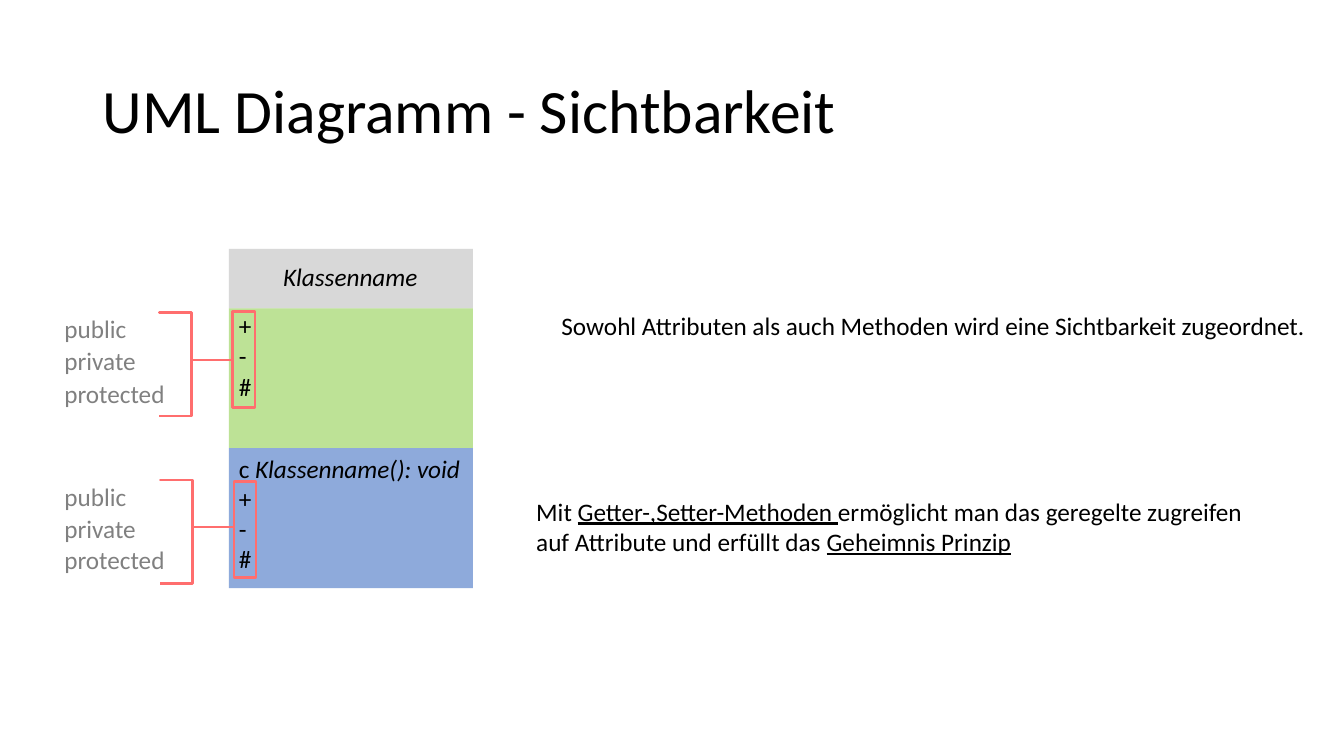
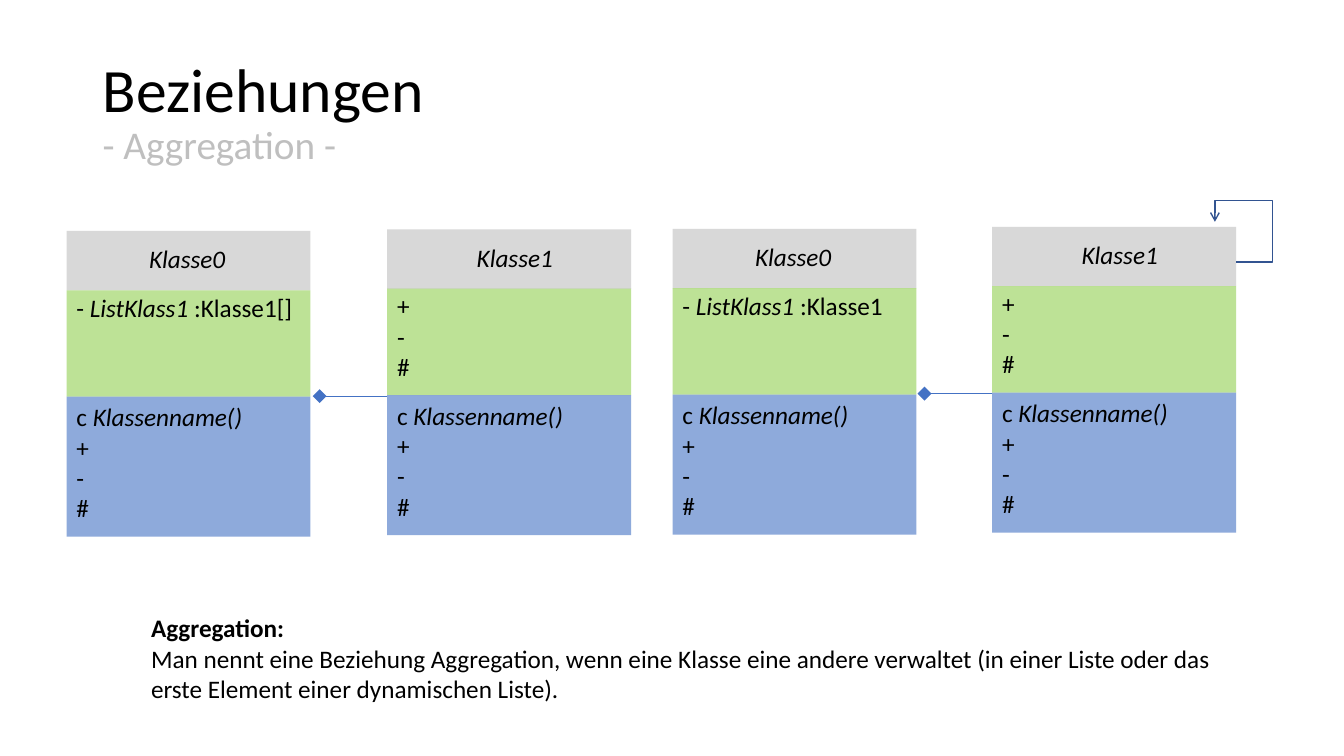
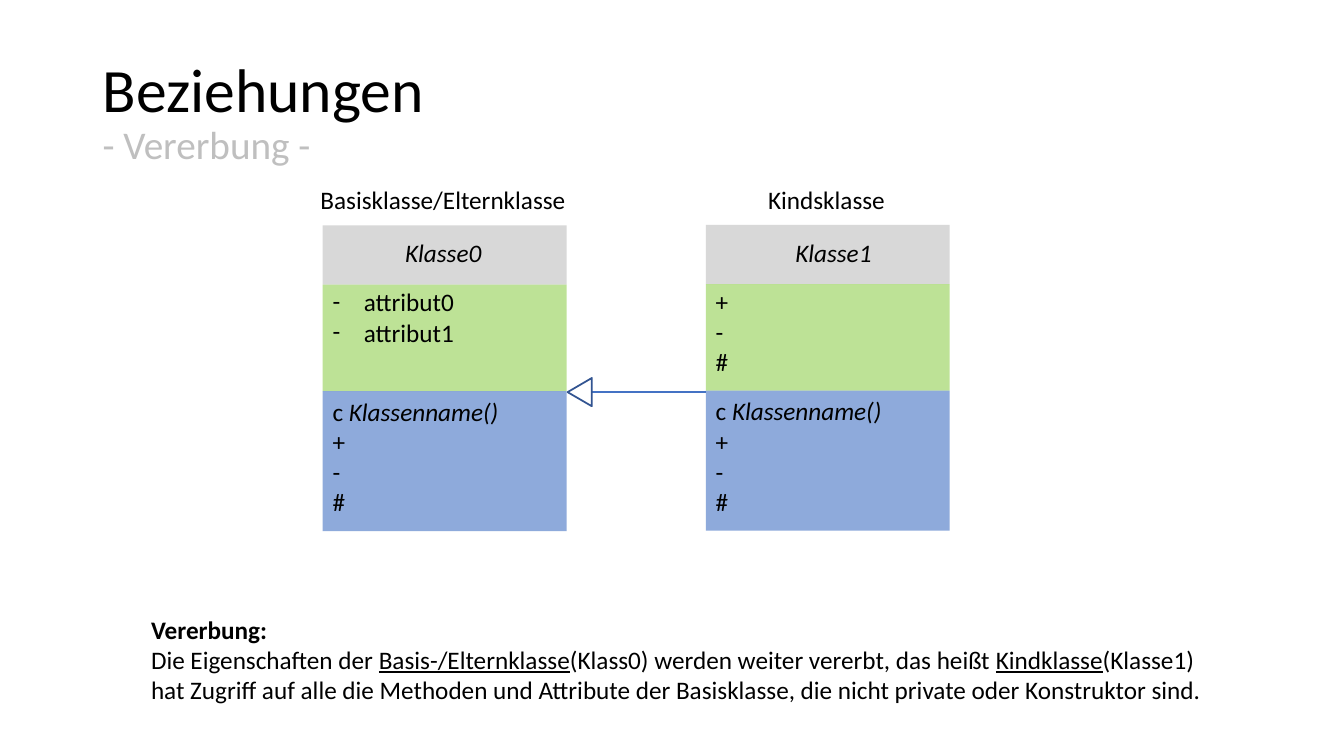
from dataclasses import dataclass

from lxml.etree import SubElement
from pptx import Presentation
from pptx.dml.color import RGBColor
from pptx.enum.shapes import MSO_CONNECTOR, MSO_SHAPE
from pptx.enum.text import MSO_ANCHOR, MSO_AUTO_SIZE
from pptx.oxml.ns import qn
from pptx.util import Inches, Pt

# Slide grid: square cells, 75 rows on the slide's height
WIDTH, HEIGHT = Inches(13.33), Inches(7.5)
CELL = HEIGHT / 75


@dataclass(frozen=True)
class Theme:
    font: str = "Calibri"
    ink: str = "000000"
    muted: str = "808080"
    subtitle: str = "BFBFBF"
    head: str = "BFBFBF"
    attributes: str = "92D050"
    methods: str = "4472C4"
    relation: str = "4472C4"
    outline: str = "325491"
    mark: str = "FF6E6E"
    title_size: int = 44
    subtitle_size: int = 28
    body_size: int = 18
    opacity: int = 60


THEME = Theme()
STYLES = {
    "plain": {},
    "italic": {"italic": True},
    "bold": {"bold": True},
    "underline": {"underline": True},
}
SIGNS = ["+", "-", "#"]
LABEL_WIDTHS = {"public": 8.2, "private": 9.2, "protected": 12.1}
HEAD_ROWS, METHOD_ROWS, CLASS_COLUMNS = 5.9, 13.9, 24.2
LINE_ROWS, TEXT_MARGIN = 3.05, 1


def cells(*counts):
    return [round(count * CELL) for count in counts]


def set_attributes(target, values):
    for name, value in values.items():
        setattr(target, name, value)


# Text
def add_run(paragraph, text, style="plain", color=THEME.ink, size=THEME.body_size):
    run = paragraph.add_run()
    run.text = text
    set_attributes(run.font, {"name": THEME.font, "size": Pt(size), **STYLES[style]})
    run.font.color.rgb = RGBColor.from_string(color)


def add_text(slide, left, top, width, paragraphs, wrap=False, rows=None, color=THEME.ink):
    """A paragraph is a plain string or a list of (text, style) runs."""
    rows = rows or LINE_ROWS * len(paragraphs) + TEXT_MARGIN
    frame = slide.shapes.add_textbox(*cells(left, top, width, rows)).text_frame
    set_attributes(frame, {"word_wrap": wrap, "auto_size": MSO_AUTO_SIZE.SHAPE_TO_FIT_TEXT})
    for index, runs in enumerate(paragraphs):
        paragraph = frame.add_paragraph() if index else frame.paragraphs[0]
        for text, style in [(runs, "plain")] if isinstance(runs, str) else runs:
            add_run(paragraph, text, style, color)
    return frame


def add_dashes(frame):
    for paragraph in frame.paragraphs:
        properties = paragraph._p.get_or_add_pPr()
        properties.set("marL", str(Inches(0.31)))
        properties.set("indent", str(-Inches(0.31)))
        SubElement(properties, qn("a:buFont")).set("typeface", THEME.font)
        SubElement(properties, qn("a:buChar")).set("char", "-")


def add_title(slide, title, subtitle=None):
    frame = slide.shapes.add_textbox(*cells(9.2, 4, 115, 14.5)).text_frame
    set_attributes(frame, {"word_wrap": True, "vertical_anchor": MSO_ANCHOR.MIDDLE})
    paragraph = frame.paragraphs[0]
    paragraph.line_spacing = 0.9
    add_run(paragraph, title, size=THEME.title_size)
    if subtitle:
        paragraph.add_line_break()
        add_run(paragraph, subtitle, color=THEME.subtitle, size=THEME.subtitle_size)


# Shapes and lines
def set_line(shape, color, width, end=None, end_size="med"):
    shape.line.color.rgb = RGBColor.from_string(color)
    shape.line.width = Pt(width)
    if end:
        tail = SubElement(shape.line._get_or_add_ln(), qn("a:tailEnd"))
        for name, value in {"type": end, "w": end_size, "len": end_size}.items():
            tail.set(name, value)


def add_band(slide, left, top, width, rows, color):
    band = slide.shapes.add_shape(MSO_SHAPE.RECTANGLE, *cells(left, top, width, rows))
    band.shadow.inherit = False
    band.line.fill.background()
    band.fill.solid()
    band.fill.fore_color.rgb = RGBColor.from_string(color)
    tint = band.fill._xPr.find(qn("a:solidFill"))[0]
    SubElement(tint, qn("a:alpha")).set("val", str(THEME.opacity * 1000))


def add_outline(slide, preset, left, top, width, rows, color, weight, rotation=0):
    outline = slide.shapes.add_shape(preset, *cells(left, top, width, rows))
    outline.shadow.inherit = False
    outline.fill.background()
    outline.rotation = rotation
    set_line(outline, color, weight)


def add_path(slide, points, color, weight, end=None):
    start, *others = [cells(*point) for point in points]
    builder = slide.shapes.build_freeform(*start)
    builder.add_line_segments(others, close=False)
    path = builder.convert_to_shape()
    path.shadow.inherit = False
    path.fill.background()
    set_line(path, color, weight, end)


def add_relation(slide, left, top, length, weight, end=None):
    relation = slide.shapes.add_connector(
        MSO_CONNECTOR.STRAIGHT, *cells(left, top, left - length, top))
    set_line(relation, THEME.relation, weight, end, "lg")
    SubElement(relation._element.spPr, qn("a:effectLst"))


# UML class: name, attributes and methods, stacked from the given corner
def add_class(slide, left, top, name, name_at, attributes=SIGNS, attributes_width=3.9,
              constructor="Klassenname()", methods_width=19.4, attribute_rows=10.55,
              dashes=False):
    bands = [(HEAD_ROWS, THEME.head), (attribute_rows, THEME.attributes),
             (METHOD_ROWS, THEME.methods)]
    band_top = top
    for rows, color in bands:
        add_band(slide, left, band_top, CLASS_COLUMNS, rows, color)
        band_top += rows
    methods_top = top + HEAD_ROWS + attribute_rows
    add_text(slide, left, methods_top, methods_width,
             [[("c ", "plain"), (constructor, "italic")], *SIGNS])
    name_offset, name_width = name_at
    add_text(slide, left + name_offset, top + 0.75, name_width, [[(name, "italic")]])
    listed = add_text(slide, left, top + HEAD_ROWS - 0.3, attributes_width, attributes)
    if dashes:
        add_dashes(listed)


PARENT_NAME_AT, CHILD_NAME_AT = (7.2, 9.7), (7.9, 9.7)


# Visibility key: labels, bracket and frame around the signs
def add_visibility(slide, left, top, label_top, label_pitch, bracket_top):
    for row, (label, width) in enumerate(LABEL_WIDTHS.items()):
        add_text(slide, 5.4, label_top + row * label_pitch, width, [label], color=THEME.muted)
    add_outline(slide, MSO_SHAPE.RECTANGLE, left, top, 2.2, 9.5, THEME.mark, 2)
    tip, spine = left - 7.3, left - 4.1
    middle, bottom = bracket_top + 4.7, bracket_top + 10.3
    add_path(slide, [(left, middle), (spine, middle), (spine, bracket_top), (tip, bracket_top),
                     (spine, bracket_top), (spine, bottom), (tip, bottom)], THEME.mark, 1.75)


# Managing class on the left, managed class on the right
def add_aggregation(slide, left, top, attribute_type, attribute_width, child_left, child_top):
    attribute = [("- ", "plain"), ("ListKlass1", "italic"), (attribute_type, "plain")]
    add_class(slide, left, top, "Klasse0", PARENT_NAME_AT, [attribute], attribute_width)
    add_class(slide, child_left, child_top, "Klasse1", CHILD_NAME_AT)
    add_relation(slide, child_left, child_top + 16.55, 6.7, 0.5, "diamond")


def build_visibility_slide(slide):
    add_title(slide, "UML Diagramm - Sichtbarkeit")
    add_class(slide, 22.7, 24.7, "Klassenname", (4.4, 15.5), constructor="Klassenname(): void",
              methods_width=24.2, attribute_rows=13.85)
    add_text(slide, 52.2, 48.7, 74.3, [[
        ("Mit ", "plain"), ("Getter-,Setter-Methoden ", "underline"),
        ("ermöglicht man das geregelte zugreifen auf Attribute und erfüllt das ", "plain"),
        ("Geheimnis Prinzip", "underline")]], wrap=True, rows=7.1)
    add_text(slide, 54.7, 30.3, 77.2,
             ["Sowohl Attributen als auch Methoden wird eine Sichtbarkeit zugeordnet."])
    add_visibility(slide, 23.1, 30.9, 30.6, 3.2, 31)
    add_visibility(slide, 23.2, 47.8, 47.3, 3.1, 47.6)


def build_aggregation_slide(slide):
    add_title(slide, "Beziehungen", "- Aggregation -")
    add_text(slide, 14, 60.3, 107.4, [
        [("Aggregation:", "bold")],
        "Man nennt eine Beziehung Aggregation, wenn eine Klasse eine andere verwaltet "
        "(in einer Liste oder das erste Element einer dynamischen Liste)."],
        wrap=True, rows=10.1)
    add_aggregation(slide, 66.7, 22.7, " :Klasse1", 22, 98.4, 22.5)
    add_aggregation(slide, 6.6, 22.9, " :Klasse1[]", 23.6, 38.4, 22.75)
    # Reference of the class to itself
    add_path(slide, [(122.6, 26), (126.2, 26), (126.2, 19.9), (120.5, 19.9), (120.5, 22)],
             THEME.outline, 1, "arrow")


def build_inheritance_slide(slide):
    add_title(slide, "Beziehungen", "- Vererbung -")
    add_class(slide, 32, 22.35, "Klasse0", PARENT_NAME_AT, ["attribut0", "attribut1"], 14.2,
              dashes=True)
    add_class(slide, 70, 22.3, "Klasse1", CHILD_NAME_AT)
    add_text(slide, 30.8, 17.8, 26.5, ["Basisklasse/Elternklasse"])
    add_text(slide, 75.2, 17.8, 13.7, ["Kindsklasse"])
    add_relation(slide, 70, 38.9, 11.3, 1.25)
    add_outline(slide, MSO_SHAPE.ISOSCELES_TRIANGLE, 56.1, 37.7, 2.8, 2.4,
                THEME.outline, 1.25, rotation=270)
    add_text(slide, 14, 60.4, 107, [
        [("Vererbung:", "bold")],
        [("Die Eigenschaften der ", "plain"), ("Basis-/Elternklasse", "underline"),
         ("(Klass0) werden weiter vererbt, das heißt ", "plain"), ("Kindklasse", "underline"),
         ("(Klasse1) hat Zugriff auf alle die Methoden und Attribute der Basisklasse, "
          "die nicht private oder Konstruktor sind.", "plain")]],
        wrap=True, rows=10.1)


def main():
    deck = Presentation()
    set_attributes(deck, {"slide_width": WIDTH, "slide_height": HEIGHT})
    blank = deck.slide_layouts[6]
    for build in (build_visibility_slide, build_aggregation_slide, build_inheritance_slide):
        build(deck.slides.add_slide(blank))
    deck.save("out.pptx")


if __name__ == "__main__":
    main()
